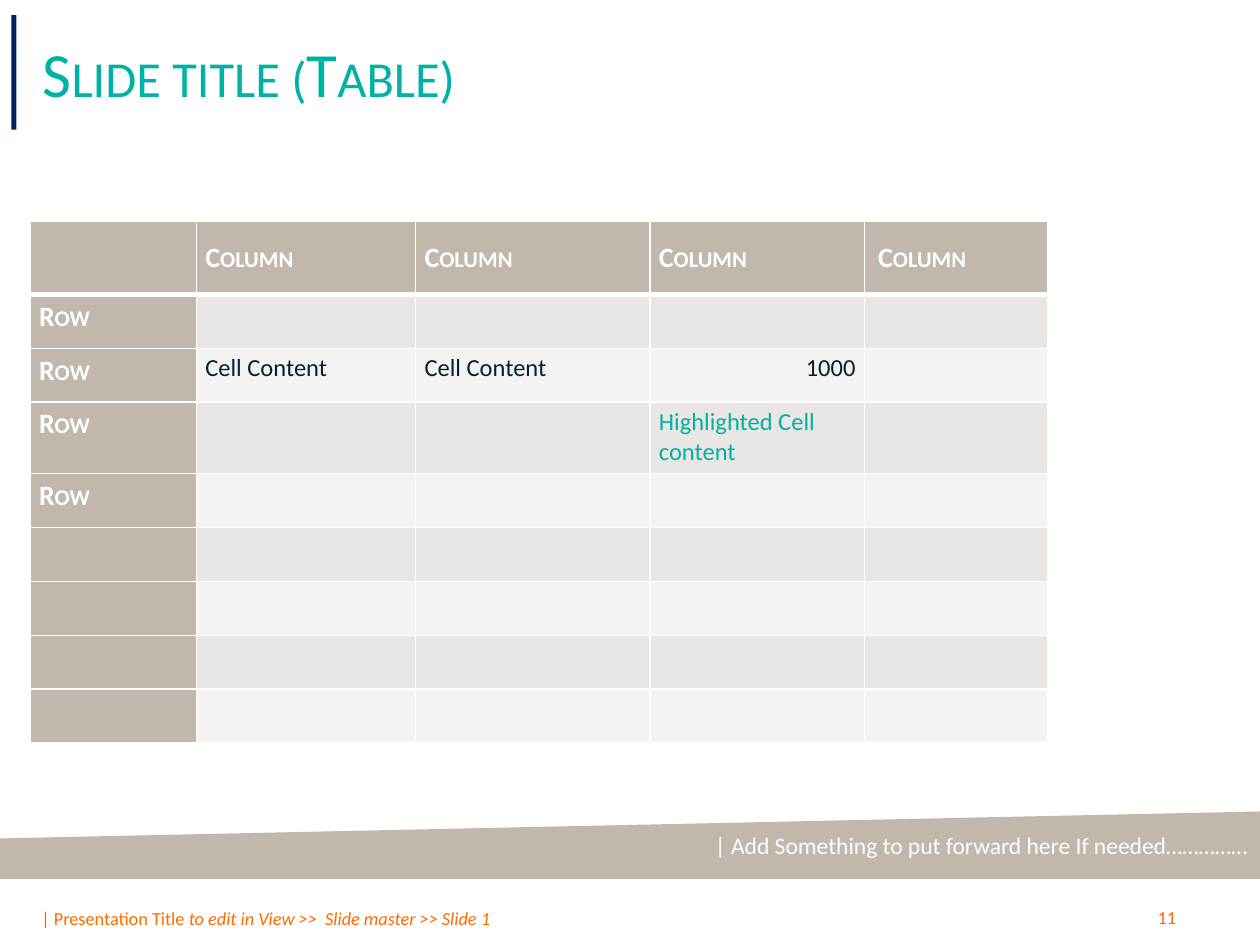
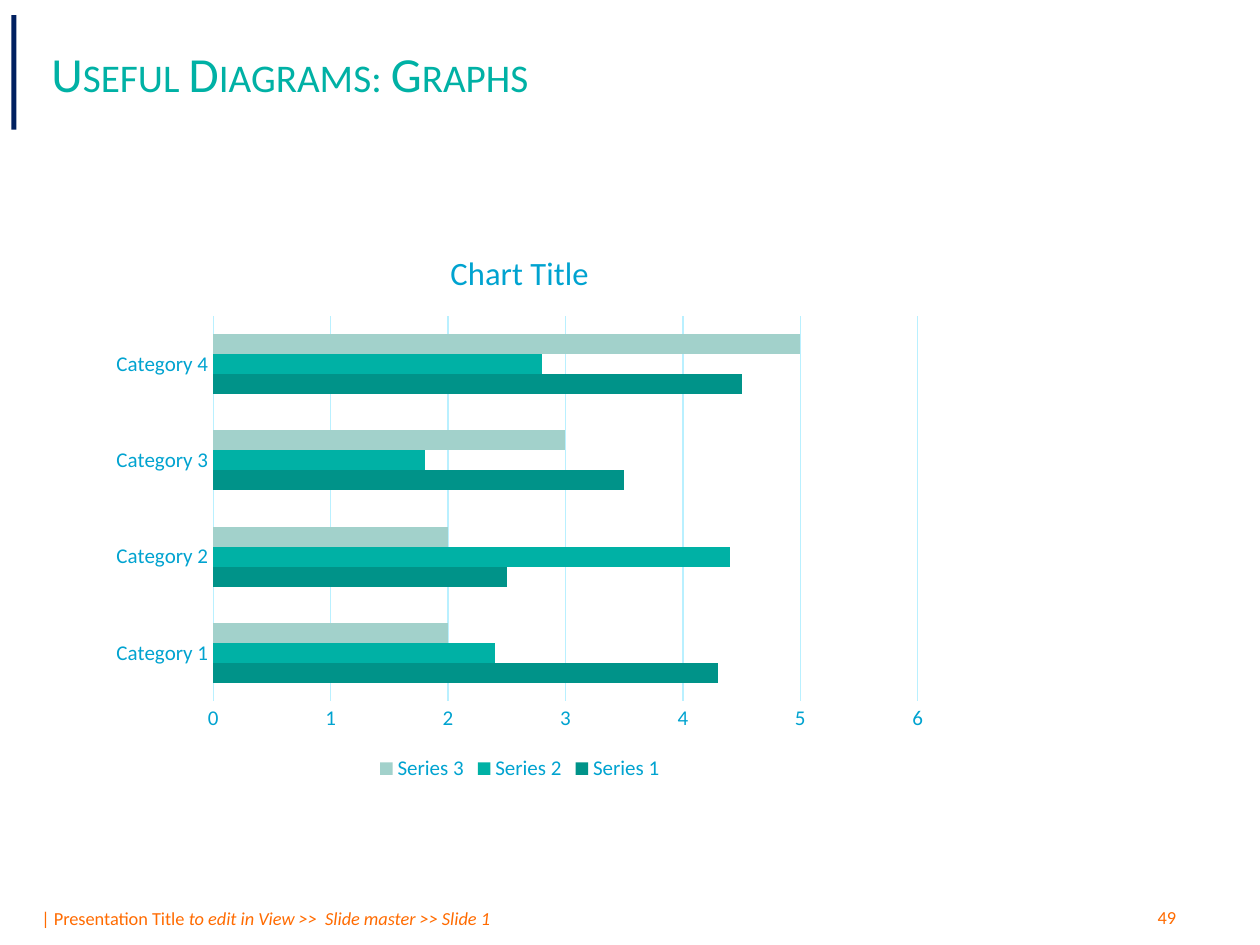
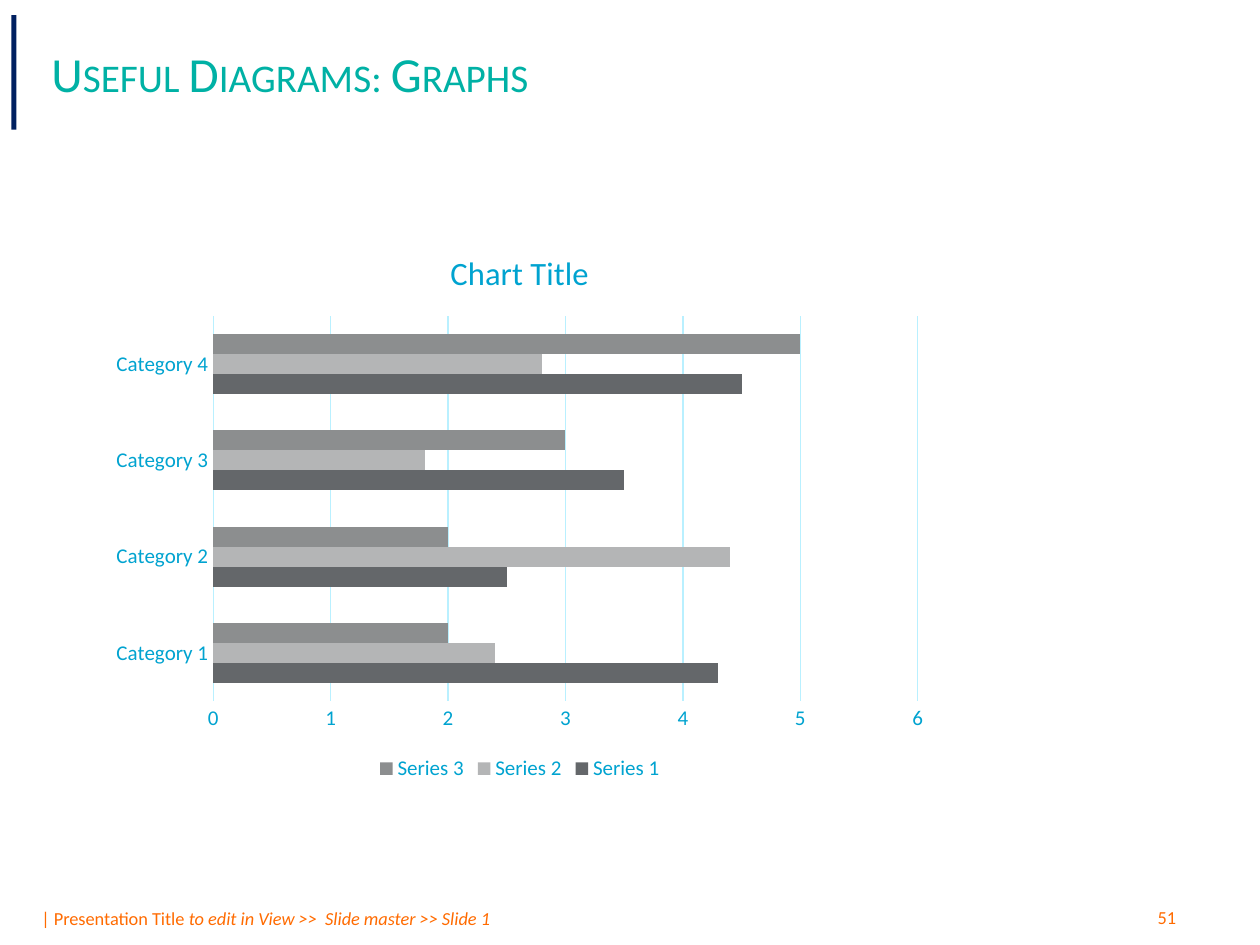
from lxml import etree
from pptx import Presentation
from pptx import util as u
from pptx.chart import data
from pptx.dml.color import RGBColor
from pptx.enum import chart as ch, shapes, text
from pptx.oxml import ns

COLORS = {
    "teal": "00B1A5", "navy": "002060", "orange": "FF6B00", "taupe": "C2B7AD",
    "odd_row": "E9E6E3", "even_row": "F4F3F1", "ink": "00242E", "white": "FFFFFF",
    "blue": "00A3D0", "pale_blue": "B9F0FF", "deep_teal": "009389", "mist": "A2D1CB",
    "slate": "64676A", "silver": "B4B5B6", "gray": "8C8E8F",
}
FORMATS = {
    "title": {"size": 36, "color": "teal", "cap": "small"},
    "graph_title": {"size": 28, "color": "teal", "cap": "small"},
    "footer": {"size": 10.5, "color": "orange"},
    "footer_hint": {"size": 10.5, "color": "orange", "italic": True},
    "message": {"size": 13.5, "color": "white"},
    "heading": {"size": 16, "color": "white", "bold": True, "cap": "small"},
    "content": {"size": 14, "color": "ink", "bold": False},
    "highlight": {"size": 14, "color": "teal", "bold": False},
    "chart": {"size": 10, "color": "ink"},
    "chart_title": {"size": 18.6, "color": "blue", "bold": False},
    "chart_label": {"size": 12, "color": "blue"},
}
WIDTH, HEIGHT = u.Inches(10), u.Inches(7.5)
COL, ROW = WIDTH / 100, HEIGHT / 75

FOOTER = [("| Presentation Title ", "footer"),
          ("to edit in View >>  Slide master >> Slide 1", "footer_hint")]
COLUMN_WIDTHS = [1.32, 1.74, 1.86, 1.7, 1.46]
ROW_HEIGHTS = [0.58, 0.43, 0.43, 0.57] + [0.43] * 5
CELLS = {(0, 1): "Column", (0, 2): "Column", (0, 3): "Column", (0, 4): " Column",
         (1, 0): "Row", (2, 0): "Row", (3, 0): "Row", (4, 0): "Row",
         (2, 1): "Cell Content", (2, 2): "Cell Content", (2, 3): "1000",
         (3, 3): "Highlighted Cell content"}
CATEGORIES = [f"Category {n}" for n in range(1, 5)]
SERIES = {"Series 1": (4.3, 2.5, 3.5, 4.5),
          "Series 2": (2.4, 4.4, 1.8, 2.8),
          "Series 3": (2, 2, 3, 5)}
GRAPHS = [(49, ("deep_teal", "teal", "mist")), (51, ("slate", "silver", "gray"))]


def rgb(name):
    return RGBColor.from_string(COLORS[name])


def place(box):
    left, top, width, height = box
    return [int(v) for v in (left * COL, top * ROW, width * COL, height * ROW)]


def paint(part, color):
    part.fill.solid()
    part.fill.fore_color.rgb = rgb(color)


def style(font, kind):
    values = {"name": "Calibri", **FORMATS[kind]}
    values["size"] = u.Pt(values["size"])
    font.color.rgb = rgb(values.pop("color"))
    for key, value in values.items():
        if key == "cap":
            font._element.set("cap", value)
        else:
            setattr(font, key, value)


def write(frame, runs, align=None):
    paragraph = frame.paragraphs[0]
    paragraph.alignment = align
    for words, kind in runs:
        run = paragraph.add_run()
        run.text = words
        style(run.font, kind)


def label(slide, box, runs):
    frame = slide.shapes.add_textbox(*place(box)).text_frame
    frame.word_wrap = True
    frame.vertical_anchor = text.MSO_ANCHOR.MIDDLE
    write(frame, runs)


def start_slide(deck, number):
    slide = deck.slides.add_slide(deck.slide_layouts[6])
    label(slide, (2.3, 71.5, 82, 2.8), FOOTER)
    label(slide, (90.9, 71.4, 8, 2.8), [(str(number), "footer")])
    accent = slide.shapes.add_shape(shapes.MSO_SHAPE.RECTANGLE, *place((0.9, 1.2, 0.4, 9.1)))
    accent.shadow.inherit = False
    paint(accent, "navy")
    accent.line.fill.background()
    return slide


def add_message(slide, box, words):
    left, top, width, height = place(box)
    right, bottom = left + width, top + height
    builder = slide.shapes.build_freeform(left, top + int(height * 0.4))
    builder.add_line_segments([(right, top), (right, bottom), (left, bottom)])
    band = builder.convert_to_shape()
    band.shadow.inherit = False
    paint(band, "taupe")
    band.line.fill.background()
    band.text_frame.word_wrap = True
    band.text_frame.vertical_anchor = text.MSO_ANCHOR.MIDDLE
    write(band.text_frame, [(words, "message")], text.PP_ALIGN.RIGHT)


def add_borders(cell, header):
    for side in "LRTB":
        points = 3 if header and side == "B" else 1
        edge = etree.SubElement(cell._tc.get_or_add_tcPr(), ns.qn(f"a:ln{side}"),
                                w=str(u.Pt(points)))
        fill = etree.SubElement(edge, ns.qn("a:solidFill"))
        etree.SubElement(fill, ns.qn("a:srgbClr"), val=COLORS["white"])


def fill_cell(cell, row, column):
    header = row == 0
    heading = header or column == 0
    for side, inset in {"left": 0.07, "right": 0.07, "top": 0.04, "bottom": 0.04}.items():
        setattr(cell, f"margin_{side}", u.Inches(inset))
    if header:
        cell.vertical_anchor = text.MSO_ANCHOR.MIDDLE
    add_borders(cell, header)
    paint(cell, "taupe" if heading else "odd_row" if row % 2 else "even_row")
    words = CELLS.get((row, column))
    if words:
        kind = "heading" if heading else "highlight" if (row, column) == (3, 3) else "content"
        write(cell.text_frame, [(words, kind)],
              text.PP_ALIGN.RIGHT if words.isdigit() else None)


def add_grid(slide, box):
    left, top, width, height = place(box)
    grid = slide.shapes.add_table(len(ROW_HEIGHTS), len(COLUMN_WIDTHS),
                                  left, top, width, height).table
    for column, share in zip(grid.columns, COLUMN_WIDTHS):
        column.width = int(width * share / sum(COLUMN_WIDTHS))
    for row, share in zip(grid.rows, ROW_HEIGHTS):
        row.height = int(height * share / sum(ROW_HEIGHTS))
    for row in range(len(ROW_HEIGHTS)):
        for column in range(len(COLUMN_WIDTHS)):
            fill_cell(grid.cell(row, column), row, column)


def style_axes(graph):
    for axis in (graph.category_axis, graph.value_axis):
        axis.major_tick_mark = axis.minor_tick_mark = ch.XL_TICK_MARK.NONE
        style(axis.tick_labels.font, "chart_label")
    values = graph.value_axis
    for key, value in {"minimum_scale": 0, "maximum_scale": 6, "major_unit": 1}.items():
        setattr(values, key, value)
    values.format.line.fill.background()
    for line in (graph.category_axis.format.line, values.major_gridlines.format.line):
        line.color.rgb = rgb("pale_blue")
        line.width = u.Pt(0.75)


def add_graph(slide, box, palette):
    figures = data.CategoryChartData()
    figures.categories = CATEGORIES
    for name, values in SERIES.items():
        figures.add_series(name, values)
    graph = slide.shapes.add_chart(ch.XL_CHART_TYPE.BAR_CLUSTERED, *place(box), figures).chart
    style(graph.font, "chart")
    write(graph.chart_title.text_frame, [("Chart Title", "chart_title")])
    graph.chart_title.include_in_layout = False
    graph.has_legend = True
    graph.legend.position = ch.XL_LEGEND_POSITION.BOTTOM
    graph.legend.include_in_layout = False
    style(graph.legend.font, "chart_label")
    style_axes(graph)
    plot = graph.plots[0]
    for key, value in {"gap_width": 182, "overlap": 0, "vary_by_categories": False}.items():
        setattr(plot, key, value)
    for series, color in zip(plot.series, palette):
        paint(series.format, color)


def table_slide(deck):
    slide = start_slide(deck, 11)
    add_grid(slide, (2.4, 17.6, 80.8, 41.4))
    label(slide, (2.4, 2.5, 75.6, 6.5), [("Slide title (Table)", "title")])
    add_message(slide, (0, 64.4, 100, 5.35),
                "| Add Something to put forward here If needed……………")


def graph_slide(deck, number, palette):
    slide = start_slide(deck, number)
    label(slide, (3.1, 2.5, 73.9, 6.6), [("Useful Diagrams: Graphs", "graph_title")])
    add_graph(slide, (7.9, 18, 66.7, 44.4), palette)


def main():
    deck = Presentation()
    deck.slide_width, deck.slide_height = WIDTH, HEIGHT
    table_slide(deck)
    for number, palette in GRAPHS:
        graph_slide(deck, number, palette)
    deck.save("out.pptx")


if __name__ == "__main__":
    main()
